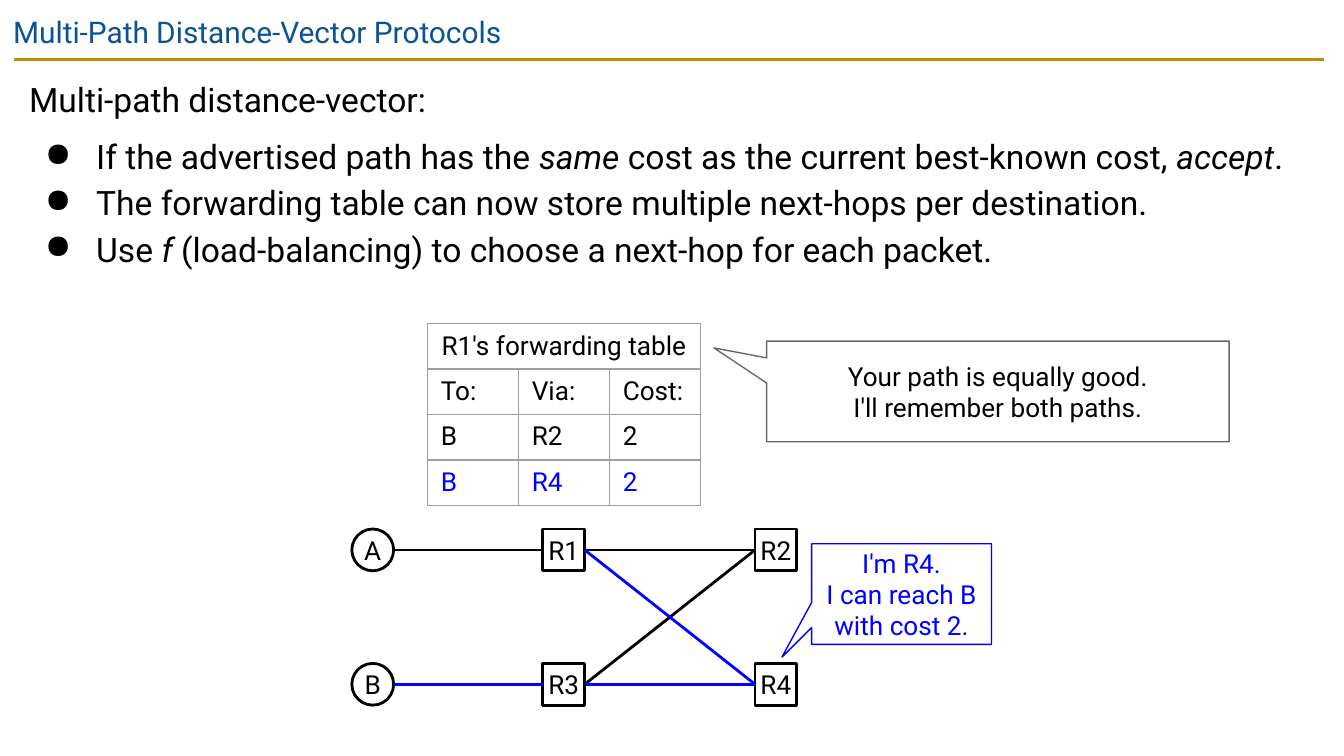
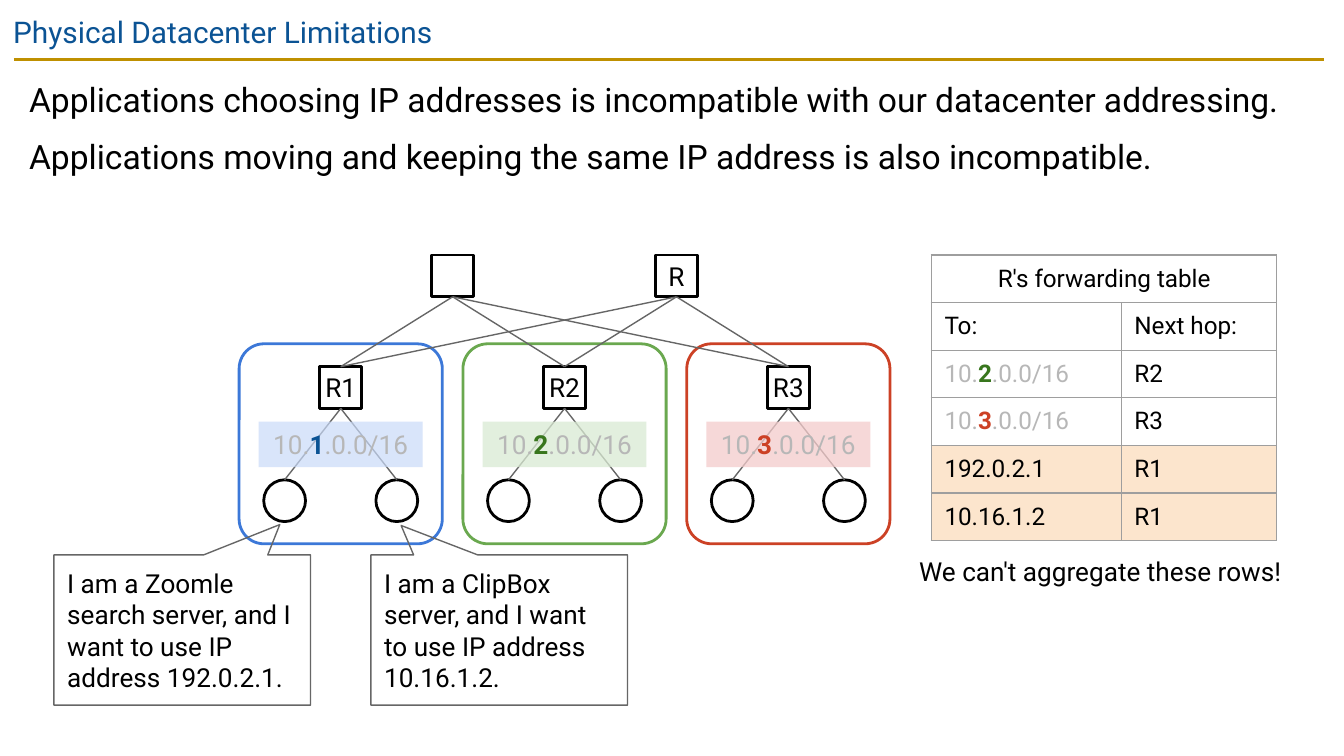
from itertools import product

from lxml.etree import SubElement
from pptx import Presentation
from pptx.dml.color import RGBColor
from pptx.enum.shapes import MSO_CONNECTOR as Connector, MSO_SHAPE as Preset
from pptx.enum.text import MSO_ANCHOR as Anchor, MSO_AUTO_SIZE as AutoSize, PP_ALIGN as Align
from pptx.oxml.ns import qn
from pptx.util import Cm, Pt

BLACK = RGBColor(0x00, 0x00, 0x00)
WHITE = RGBColor(0xFF, 0xFF, 0xFF)
BLUE = RGBColor(0x00, 0x00, 0xFF)
NAVY = RGBColor(0x0B, 0x53, 0x94)
GOLD = RGBColor(0xBF, 0x90, 0x00)
GRAY = RGBColor(0x66, 0x66, 0x66)
PALE_GRAY = RGBColor(0xB7, 0xB7, 0xB7)
GRID_GRAY = RGBColor(0x9E, 0x9E, 0x9E)
GREEN = RGBColor(0x38, 0x76, 0x1D)
RED = RGBColor(0xCC, 0x41, 0x25)
POD_BLUE = RGBColor(0x3C, 0x78, 0xD8)
POD_GREEN = RGBColor(0x6A, 0xA8, 0x4F)
LIGHT_BLUE = RGBColor(0xC9, 0xDA, 0xF8)
LIGHT_GREEN = RGBColor(0xD9, 0xEA, 0xD3)
LIGHT_RED = RGBColor(0xF4, 0xCC, 0xCC)
PEACH = RGBColor(0xFC, 0xE5, 0xCD)

FONT = "Roboto"
NODE = 0.79
THICK, THIN = 1.5, 0.75
TOP, BOTTOM, LEFT, RIGHT = (0.5, 0), (0.5, 1), (0, 0.5), (1, 0.5)


def apply(target, values):
    for name, value in values.items():
        setattr(target, name, value)


def write_runs(paragraph, content, size, color):
    pieces = [content] if isinstance(content, str) else content
    for piece in pieces:
        text, changes = (piece, {}) if isinstance(piece, str) else piece
        look = {"name": FONT, "size": Pt(size), "rgb": color} | changes
        rgb = look.pop("rgb")
        for number, line in enumerate(text.split("\n")):
            if number:
                paragraph.add_line_break()
            run = paragraph.add_run()
            run.text = line
            apply(run.font, look)
            run.font.color.rgb = rgb


def set_frame(frame, across, down, anchor):
    apply(frame, {
        "word_wrap": True, "vertical_anchor": anchor,
        "margin_left": Cm(across), "margin_right": Cm(across),
        "margin_top": Cm(down), "margin_bottom": Cm(down),
    })


def add_text(slide, box, content, size=14, color=BLACK, margin=0.0):
    frame = slide.shapes.add_textbox(*map(Cm, box)).text_frame
    set_frame(frame, margin, margin, Anchor.TOP)
    write_runs(frame.paragraphs[0], content, size, color)
    return frame


def add_figure(slide, preset, box, line=None, width=THICK, fill=None, content="",
               color=BLACK, margin=0.0, align=Align.CENTER):
    figure = slide.shapes.add_shape(preset, *map(Cm, box))
    figure.shadow.inherit = False
    if fill is None:
        figure.fill.background()
    else:
        figure.fill.solid()
        figure.fill.fore_color.rgb = fill
    if line is None:
        figure.line.fill.background()
    else:
        figure.line.color.rgb = line
        figure.line.width = Pt(width)
    set_frame(figure.text_frame, margin, margin, Anchor.MIDDLE)
    if content:
        paragraph = figure.text_frame.paragraphs[0]
        paragraph.alignment = align
        write_runs(paragraph, content, 14, color)
    return figure


def add_callout(slide, box, tip, content, line=GRAY, **text):
    callout = add_figure(slide, Preset.ROUNDED_RECTANGULAR_CALLOUT, box, line, THIN,
                         content=content, **text)
    for number, value in enumerate((*tip, 0)):
        callout.adjustments[number] = value


def add_node(slide, left, top, label="", preset=Preset.RECTANGLE):
    return add_figure(slide, preset, (left, top, NODE, NODE), BLACK, fill=WHITE, content=label)


def add_line(slide, start, end, color, width):
    line = slide.shapes.add_connector(Connector.STRAIGHT, *start, *end)
    line.line.color.rgb = color
    line.line.width = Pt(width)
    SubElement(line._element.spPr, qn("a:effectLst"))


def link(slide, source, source_side, target, target_side, color=GRAY, width=THIN):
    start, end = [
        (int(node.left + node.width * across), int(node.top + node.height * down))
        for node, (across, down) in ((source, source_side), (target, target_side))
    ]
    add_line(slide, start, end, color, width)


def add_header(slide, title):
    add_line(slide, (Cm(0.26), Cm(1.12)), (Cm(25.02), Cm(1.12)), GOLD, THICK)
    add_text(slide, (0, 0, 25.4, 1.09), title, 16, NAVY, 0.25)


def add_body(slide, height, statements, bullets=()):
    frame = add_text(slide, (0.3, 1.12, 24.74, height), statements[0], 18, margin=0.25)
    for content in (*statements[1:], *bullets):
        write_runs(frame.add_paragraph(), content, 18, BLACK)
    for number, paragraph in enumerate(frame.paragraphs):
        order = number - len(statements)
        apply(paragraph, {"line_spacing": 1.15, "space_before": Pt(0 if order > 0 else 6)})
        if order >= 0:
            properties = paragraph._p.get_or_add_pPr()
            properties.set("marL", str(Cm(1.27)))
            properties.set("indent", str(Cm(-0.97)))
            SubElement(properties, qn("a:buChar"), char="●")


def add_border(cell):
    properties = cell._tc.get_or_add_tcPr()
    for position, side in enumerate(("lnL", "lnR", "lnT", "lnB")):
        edge = SubElement(properties, qn(f"a:{side}"), w=str(Pt(THIN)))
        SubElement(SubElement(edge, qn("a:solidFill")), qn("a:srgbClr"), val=str(GRID_GRAY))
        properties.insert(position, edge)


def add_forwarding_table(slide, left, top, widths, heights, title, rows, size, padding,
                         anchor, colors=None, fills=None):
    grid = slide.shapes.add_table(
        len(heights), len(widths), *map(Cm, (left, top, sum(widths), sum(heights)))).table
    apply(grid, {"first_row": False, "horz_banding": False})
    for column, width in zip(grid.columns, widths):
        column.width = Cm(width)
    for row, height in zip(grid.rows, heights):
        row.height = Cm(height)
    grid.cell(0, 0).merge(grid.cell(0, len(widths) - 1))
    for number, values in enumerate([[title], *rows]):
        for cell, content in zip(grid.rows[number].cells, values):
            set_frame(cell.text_frame, 0.25 if number else 0.13, padding, anchor)
            apply(cell, {
                "margin_left": Cm(0.25 if number else 0.13),
                "margin_right": Cm(0.25 if number else 0.13),
                "margin_top": Cm(padding), "margin_bottom": Cm(padding),
                "vertical_anchor": anchor,
            })
            paragraph = cell.text_frame.paragraphs[0]
            paragraph.alignment = Align.LEFT if number else Align.CENTER
            write_runs(paragraph, content, size, (colors or {}).get(number, BLACK))
        for cell in grid.rows[number].cells:
            if number in (fills or {}):
                cell.fill.solid()
                cell.fill.fore_color.rgb = fills[number]
            else:
                cell.fill.background()
            add_border(cell)


def add_network(slide, left, top):
    columns, levels = (0, 3.61, 7.62), (0, 2.54)
    names = (("A", "R1", "R2"), ("B", "R3", "R4"))
    nodes = {}
    for row, column in product(range(2), range(3)):
        name = names[row][column]
        preset = Preset.RECTANGLE if column else Preset.OVAL
        nodes[name] = add_node(slide, left + columns[column], top + levels[row], name, preset)
    for source, target, color in (
        ("A", "R1", BLACK), ("R1", "R2", BLACK), ("R3", "R2", BLACK),
        ("B", "R3", BLUE), ("R1", "R4", BLUE), ("R3", "R4", BLUE),
    ):
        link(slide, nodes[source], RIGHT, nodes[target], LEFT, color, THICK)


def address(digit, color):
    return [("10.", {"rgb": PALE_GRAY}), (digit, {"rgb": color, "bold": True}),
            (".0.0/16", {"rgb": PALE_GRAY})]


def add_pod(slide, left, top, digit, outline, accent, tint, opacity):
    width, height = 3.84, 3.78
    center = left + width / 2
    pod = add_figure(slide, Preset.ROUNDED_RECTANGLE, (left, top, width, height), outline)
    pod.adjustments[0] = 0.124
    router = add_node(slide, center - NODE / 2, top + 0.43, f"R{digit}")
    for offset in (-1.06, 1.06):
        server = add_node(slide, center + offset - NODE / 2, top + 2.57, preset=Preset.OVAL)
        link(slide, server, TOP, router, BOTTOM)
    label = add_figure(slide, Preset.RECTANGLE, (center - 1.55, top + 1.47, 3.1, 0.86),
                       fill=tint, content=address(digit, accent), margin=0.13)
    color = label._element.spPr.find(qn("a:solidFill"))[0]
    SubElement(color, qn("a:alpha"), val=str(opacity * 1000))
    return router


def add_datacenter(slide, left, top):
    pitch = 4.23
    pods = (
        ("1", POD_BLUE, NAVY, LIGHT_BLUE, 70),
        ("2", POD_GREEN, GREEN, LIGHT_GREEN, 75),
        ("3", RED, RED, LIGHT_RED, 75),
    )
    routers = [add_pod(slide, left + pitch * number, top + 1.68, *pod)
               for number, pod in enumerate(pods)]
    spines = [add_node(slide, left + 3.64 + pitch * number, top, name)
              for number, name in enumerate(("", "R"))]
    for spine, router in product(spines, routers):
        link(slide, router, TOP, spine, BOTTOM)


def build_multipath(slide):
    add_header(slide, "Multi-Path Distance-Vector Protocols")
    italic = {"italic": True}
    add_body(slide, 4.52, ["Multi-path distance-vector:"], [
        ["If the advertised path has the ", ("same", italic),
         " cost as the current best-known cost, ", ("accept", italic), "."],
        "The forwarding table can now store multiple next-hops per destination.",
        ["Use ", ("f", italic), " (load-balancing) to choose a next-hop for each packet."],
    ])
    add_forwarding_table(
        slide, 8.08, 6.12, [1.72] * 3, [0.66] + [0.86] * 3, "R1's forwarding table",
        [("To:", "Via:", "Cost:"), ("B", "R2", "2"), ("B", "R4", "2")],
        14, 0.13, Anchor.TOP, colors={3: BLUE})
    add_callout(slide, (14.49, 6.45, 8.74, 1.9), (-0.614, -0.433),
                "Your path is equally good.\nI'll remember both paths.")
    add_network(slide, 6.65, 10)
    add_callout(slide, (15.34, 10.28, 3.4, 1.9), (-0.665, 0.627),
                "I'm R4.\nI can reach B with cost 2.", BLUE, color=BLUE)


def build_limitations(slide):
    add_header(slide, "Physical Datacenter Limitations")
    add_datacenter(slide, 4.52, 4.82)
    for left, tip, request in (
        (1.02, (0.38, -0.702),
         "I am a Zoomle search server, and I want to use IP address 192.0.2.1."),
        (7.01, (-0.382, -0.696),
         "I am a ClipBox server, and I want to use IP address 10.16.1.2."),
    ):
        add_callout(slide, (left, 10.49, 4.85, 2.84), tip, request,
                    margin=0.25, align=Align.LEFT)
    add_body(slide, 3.38, [
        "Applications choosing IP addresses is incompatible with our datacenter addressing.",
        "Applications moving and keeping the same IP address is also incompatible.",
    ])
    add_forwarding_table(
        slide, 17.6, 4.82, [3.59, 2.94], [0.9] * 6, "R's forwarding table",
        [("To:", "Next hop:"), (address("2", GREEN), "R2"), (address("3", RED), "R3"),
         ("192.0.2.1", "R1"), ("10.16.1.2", "R1")],
        13, 0.05, Anchor.MIDDLE, fills={4: PEACH, 5: PEACH})
    caption = add_text(slide, (17.37, 10.49, 6.93, 0.61), "We can't aggregate these rows!")
    caption.auto_size = AutoSize.SHAPE_TO_FIT_TEXT


def main():
    deck = Presentation()
    apply(deck, {"slide_width": Cm(25.4), "slide_height": Cm(14.29)})
    for build in (build_multipath, build_limitations):
        build(deck.slides.add_slide(deck.slide_layouts[6]))
    deck.save("out.pptx")


if __name__ == "__main__":
    main()
